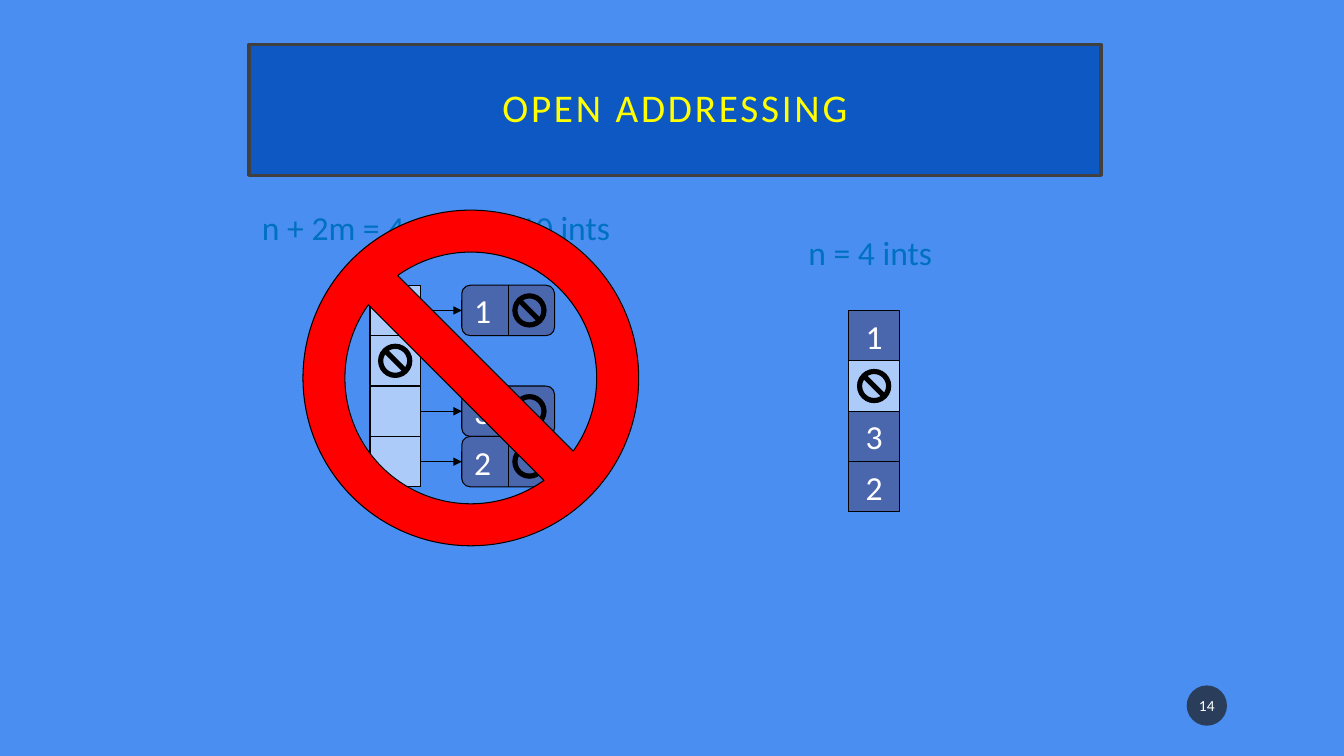
from pptx import Presentation
from pptx.dml.color import RGBColor
from pptx.enum import shapes, text
from pptx.oxml.ns import qn
from pptx.util import Inches, Pt
from lxml import etree

TITLE = "OPEN ADDRESSING"
NUMBER = "14"
CHAINED = ["1", None, "3", "2"]
OPEN = ["1", None, "3", "2"]
LABELS = [("n + 2m = 4 + 2*3 = 10 ints", 2.5, 2, 3.68), ("n = 4 ints", 7.92, 2.25, 1.44)]

THEME = {
    "font": "Calibri", "bg": "4A8EF2", "title_fill": "0E58C4", "title_line": "404040",
    "title": "FFFF00", "empty": "ACCBF9", "full": "4A66AC", "line": "000000",
    "label": "0070C0", "white": "FFFFFF", "ban": "FF0000", "badge": "1D1D1D",
    "title_size": 28, "size": 24, "badge_size": 11, "thin": 0.75, "thick": 2.5,
}
CELL = 0.5
CHAIN_X, CHAIN_Y = 3.67, 2.83
NODE_X, NODE_W = 4.58, 0.92
OPEN_X, OPEN_Y = 8.42, 3.08
NULL_SIZE = 0.33
SHAPE = shapes.MSO_SHAPE
LEFT, CENTER = text.PP_ALIGN.LEFT, text.PP_ALIGN.CENTER

prs = Presentation()
prs.slide_width, prs.slide_height = Inches(13.33), Inches(7.5)
s = prs.slides.add_slide(prs.slide_layouts[6])


def rgb(name):
    return RGBColor.from_string(THEME[name])


def write(sp, words, color, size="size", align=CENTER, wrap=False):
    tf = sp.text_frame
    tf.text = words
    tf.word_wrap = wrap
    p = tf.paragraphs[0]
    p.alignment = align
    r = p.runs[0]
    r.font.name = THEME["font"]
    r.font.size = Pt(THEME[size])
    r.font.color.rgb = rgb(color)
    return tf


def shape(kind, x, y, w, h, fill, line="line", width="thin"):
    sp = s.shapes.add_shape(kind, Inches(x), Inches(y), Inches(w), Inches(h))
    sp.shadow.inherit = False
    sp.fill.solid()
    sp.fill.fore_color.rgb = rgb(fill)
    if line:
        sp.line.color.rgb = rgb(line)
        sp.line.width = Pt(THEME[width])
    else:
        sp.line.fill.background()
    sp.text_frame.vertical_anchor = text.MSO_ANCHOR.MIDDLE
    return sp


def ban(cx, cy, size, fill):
    sp = shape(SHAPE.NO_SYMBOL, cx - size / 2, cy - size / 2, size, size, fill)
    sp.adjustments[0] = 0.125


def connect(start, start_site, end, end_site, arrow=False):
    c = s.shapes.add_connector(shapes.MSO_CONNECTOR.STRAIGHT, 0, 0, 0, 0)
    c.begin_connect(start, start_site)
    c.end_connect(end, end_site)
    c.line.color.rgb = rgb("line")
    c.line.width = Pt(THEME["thin"])
    if arrow:
        etree.SubElement(c.line._get_or_add_ln(), qn("a:tailEnd"), type="triangle")
    etree.SubElement(c._element.spPr, qn("a:effectLst"))


s.background.fill.solid()
s.background.fill.fore_color.rgb = rgb("bg")

title = shape(SHAPE.RECTANGLE, 2.47, 0.44, 8.45, 1.3, "title_fill", "title_line", "thick")
tf = write(title, TITLE, "title", "title_size", wrap=True)
tf.margin_left = tf.margin_right = tf.margin_top = tf.margin_bottom = Inches(0.2)
tf.paragraphs[0].line_spacing = 0.9
tf.paragraphs[0].runs[0].font._element.set("spc", "200")

for i, value in enumerate(CHAINED):
    y = CHAIN_Y + i * CELL
    middle = y + CELL / 2
    bucket = shape(SHAPE.RECTANGLE, CHAIN_X, y, CELL, CELL, "empty")
    if value is None:
        ban(CHAIN_X + CELL / 2, middle, NULL_SIZE, "line")
        continue
    node = shape(SHAPE.ROUNDED_RECTANGLE, NODE_X, y, NODE_W, CELL, "full")
    write(node, value, "white", align=LEFT)
    connect(bucket, 3, node, 1, arrow=True)
    connect(node, 0, node, 2)
    ban(NODE_X + NODE_W * 0.73, middle, NULL_SIZE, "line")

for i, value in enumerate(OPEN):
    y = OPEN_Y + i * CELL
    slot = shape(SHAPE.RECTANGLE, OPEN_X, y, CELL, CELL, "full" if value else "empty")
    if value:
        write(slot, value, "white")
    else:
        ban(OPEN_X + CELL / 2, y + CELL / 2, NULL_SIZE, "line")

for words, x, y, w in LABELS:
    label = s.shapes.add_textbox(Inches(x), Inches(y), Inches(w), Inches(0.51))
    write(label, words, "label", align=LEFT).auto_size = text.MSO_AUTO_SIZE.SHAPE_TO_FIT_TEXT

ban(4.67, 3.75, 3.33, "ban")

badge = shape(SHAPE.OVAL, 11.77, 6.8, 0.4, 0.4, "badge", None)
color = badge.fill._xPr.find(qn("a:solidFill"))[0]
etree.SubElement(color, qn("a:alpha"), val="70000")
tf = write(badge, NUMBER, "white", "badge_size", wrap=True)
tf.margin_left = tf.margin_right = Inches(0.02)

prs.save("out.pptx")
